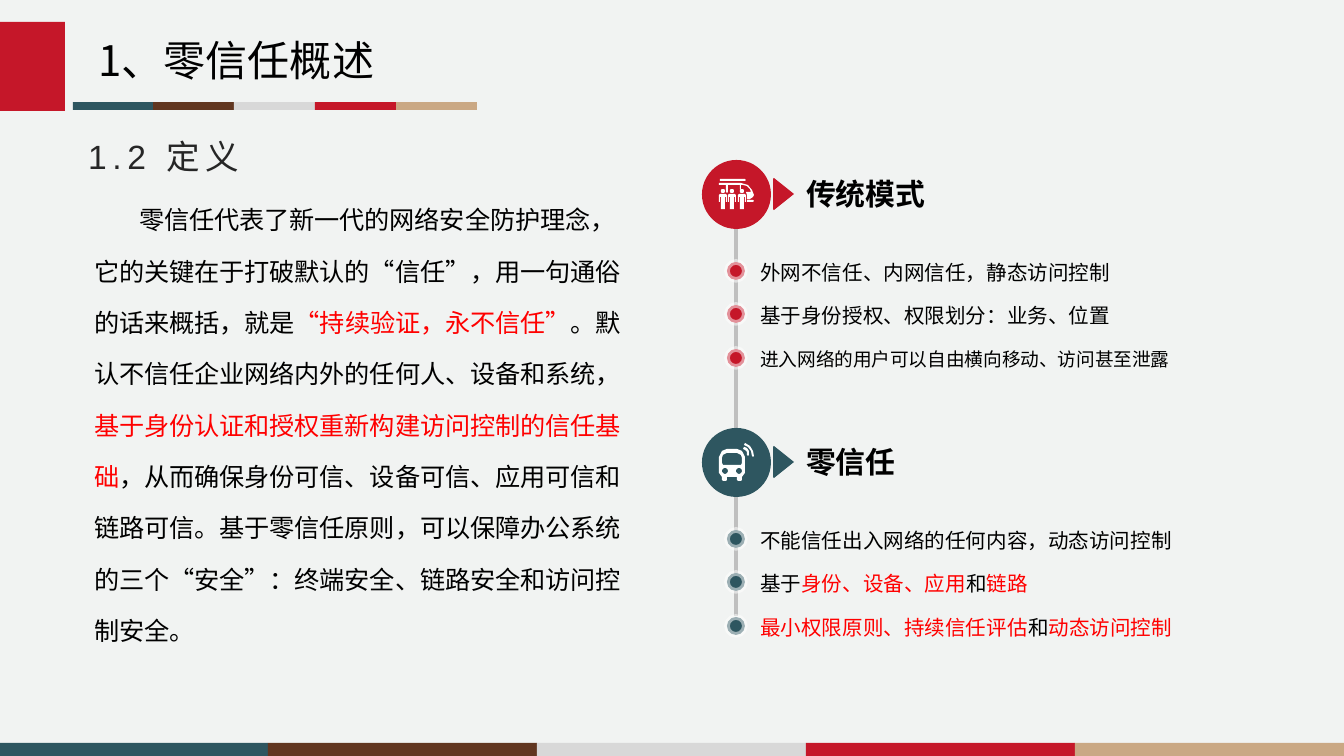
import math

from lxml import etree
from pptx import Presentation
from pptx.dml.color import RGBColor
from pptx.enum.shapes import MSO_CONNECTOR, MSO_SHAPE
from pptx.enum.text import MSO_ANCHOR
from pptx.oxml.ns import qn
from pptx.util import Pt

SCALE = 914400 / 134.4  # EMU in one px
WIDTH, HEIGHT = 1344, 756
RECTANGLE, OVAL = MSO_SHAPE.RECTANGLE, MSO_SHAPE.OVAL
STRAIGHT = MSO_CONNECTOR.STRAIGHT
TOP, MIDDLE = MSO_ANCHOR.TOP, MSO_ANCHOR.MIDDLE

COLORS = {
    "background": "F1F3F2", "teal": "2E5660", "brown": "613620",
    "silver": "D8D8D8", "red": "C51729", "tan": "CAA884",
    "black": "000000", "charcoal": "262626", "highlight": "FF0000",
    "rail": "BFBFBF", "white": "FFFFFF",
}
STRIPES = ["teal", "brown", "silver", "red", "tan"]
LATIN, CHINESE = "Arial", "Noto Sans CJK SC"

DEFINITION = [
    ("零信任代表了新一代的网络安全防护理念，它的关键在于打破默认的“信任”，"
     "用一句通俗的话来概括，就是", "black"),
    ("“持续验证，永不信任”", "highlight"),
    ("。默认不信任企业网络内外的任何人、设备和系统，", "black"),
    ("基于身份认证和授权重新构建访问控制的信任基础", "highlight"),
    ("，从而确保身份可信、设备可信、应用可信和链路可信。基于零信任原则，"
     "可以保障办公系统的三个“安全”：终端安全、链路安全和访问控制安全。", "black"),
]
TRADITIONAL_ROWS = [
    (11, [("外网不信任、内网信任，静态访问控制", "black")]),
    (11, [("基于身份授权、权限划分：业务、位置", "black")]),
    (10, [("进入网络的用户可以自由横向移动、访问甚至泄露", "black")]),
]
ZERO_TRUST_ROWS = [
    (11, [("不能信任出入网络的任何内容，动态访问控制", "black")]),
    (11, [("基于", "black"), ("身份、设备、应用", "highlight"),
          ("和", "black"), ("链路", "highlight")]),
    (11, [("最小权限原则、持续信任评估", "highlight"), ("和", "black"),
          ("动态访问控制", "highlight")]),
]


def px(value):
    return round(value * SCALE)


def rgb(name):
    return RGBColor.from_string(COLORS[name])


def ring(x, y, radius):
    """Points of a small circle, for use as a freeform contour."""
    angles = [math.tau * step / 12 for step in range(12)]
    return [(x + radius * math.cos(a), y + radius * math.sin(a)) for a in angles]


def person(left):
    body = [(0, 195), (1, 194), (7, 194), (8, 195), (8, 202), (7, 202), (7, 197),
            (6, 197), (6, 209), (2, 209), (2, 197), (1, 197), (1, 202), (0, 202)]
    return [[(left + x, y) for x, y in body], ring(left + 4, 191, 2)]


TRAIN_ICON = [
    [(720, 179), (745, 179), (746, 180), (745, 181), (720, 181)],
    [(719, 183), (741, 183), (748, 185), (752, 190), (754, 195), (753, 197),
     (750, 199), (747, 199), (747, 195), (746, 192), (751, 192), (750, 189),
     (747, 186), (743, 185), (741, 185), (741, 189), (740, 189), (740, 185),
     (728, 185), (728, 192), (727, 193), (726, 192), (726, 185), (719, 185)],
    [(747, 200), (753, 200), (754, 201), (753, 202), (747, 202)],
    *person(719), *person(728), *person(738),
]
BUS_ICON = [
    [(727, 449), (737, 449), (742, 451), (745, 457), (745, 473), (742, 477),
     (742, 480), (741, 481), (738, 481), (737, 480), (737, 477), (727, 477),
     (727, 480), (726, 481), (723, 481), (722, 480), (722, 477), (719, 473),
     (719, 457), (722, 451)],
    [(727, 453), (737, 453), (741, 455), (742, 458), (742, 463), (741, 465),
     (723, 465), (722, 463), (722, 458), (723, 455)],
    ring(725, 471, 3), ring(739, 471, 3),
    [(744, 447), (747, 448), (749, 451), (749, 455), (748, 456), (747, 455),
     (747, 452), (745, 450), (743, 449)],
    [(745, 443), (750, 446), (753, 451), (754, 456), (753, 457), (752, 456),
     (751, 451), (748, 447), (744, 445)],
]


class SlideBuilder:
    def __init__(self, deck):
        self.page = deck.slides.add_slide(deck.slide_layouts[6])
        self.page.background.fill.solid()
        self.page.background.fill.fore_color.rgb = rgb("background")
        self.shapes = self.page.shapes

    def paint(self, shape, color):
        shape.shadow.inherit = False
        shape.fill.solid()
        shape.fill.fore_color.rgb = rgb(color)
        shape.line.fill.background()
        return shape

    def shape(self, kind, left, top, width, height, color):
        shape = self.shapes.add_shape(kind, px(left), px(top), px(width), px(height))
        return self.paint(shape, color)

    def stripes(self, left, top, width, height):
        """A strip split evenly into the five theme colours."""
        edges = [left + width * i // 5 for i in range(6)]
        for start, end, color in zip(edges, edges[1:], STRIPES):
            self.shape(RECTANGLE, start, top, end - start, height, color)

    def outline(self, contours, color):
        """One filled freeform; a contour inside another one is a hole."""
        builder = self.shapes.build_freeform(*contours[0][0], scale=SCALE)
        builder.add_line_segments(contours[0][1:], close=True)
        for contour in contours[1:]:
            builder.move_to(*contour[0])
            builder.add_line_segments(contour[1:], close=True)
        return self.paint(builder.convert_to_shape(), color)

    def rail(self, x, top, bottom):
        line = self.shapes.add_connector(STRAIGHT, px(x), px(top), px(x), px(bottom))
        line.line.color.rgb = rgb("rail")
        line.line.width = Pt(1.75)
        etree.SubElement(line._element.spPr, qn("a:effectLst"))

    def dot(self, left, top, color):
        """A bullet with a translucent white rim."""
        dot = self.shape(OVAL, left, top, 18, 18, color)
        dot.line.color.rgb = rgb("white")
        dot.line.width = Pt(3)
        tint = dot.line._ln.find(".//" + qn("a:srgbClr"))
        etree.SubElement(tint, qn("a:alpha"), val="53000")

    def text(self, left, top, width, height, spans, size, anchor=MIDDLE,
             font=LATIN, bold=False):
        box = self.shapes.add_textbox(px(left), px(top), px(width), px(height))
        box.text_frame.word_wrap = True
        box.text_frame.vertical_anchor = anchor
        para = box.text_frame.paragraphs[0]
        for words, color in spans:
            span = para.add_run()
            span.text = words
            span.font.size = Pt(size)
            span.font.bold = bold
            span.font.name = font
            span.font.color.rgb = rgb(color)
            etree.SubElement(span.font._element, qn("a:ea"), typeface=CHINESE)
        return para

    def model(self, top, color, title, icon, rows):
        """A round icon with its heading and three dotted rows."""
        self.shape(OVAL, 702, top, 69, 69, color)
        self.outline(icon, "white")
        self.outline([[(773, top + 19), (774, top + 18), (794, top + 34),
                       (774, top + 50), (773, top + 49)]], color)
        self.text(793, top + 9, 238, 50, [(title, "black")], 16, bold=True)
        for i, (size, spans) in enumerate(rows):
            row_top = top + 102 + 87 * i // 2
            self.dot(727, row_top, color)
            self.text(747, row_top - 12, 457, 44, spans, size)


def main():
    deck = Presentation()
    deck.slide_width, deck.slide_height = px(WIDTH), px(HEIGHT)
    slide = SlideBuilder(deck)

    slide.stripes(0, 743, WIDTH, 13)
    slide.shape(RECTANGLE, 0, 22, 65, 89, "red")
    slide.stripes(73, 102, 404, 8)
    slide.text(85, 32, 684, 55, [("1、零信任概述", "black")], 22.5, font=CHINESE)

    subtitle = slide.text(75, 129, 600, 60, [("1.2 定义", "charcoal")], 18, TOP)
    subtitle.runs[0].font._element.set("spc", "300")
    definition = slide.text(81, 177, 566, 402, DEFINITION, 13.5, TOP)
    definition.line_spacing = 1.7
    definition._p.get_or_add_pPr().set("indent", str(px(45)))

    slide.rail(736, 229, 616)
    slide.model(160, "red", "传统模式", TRAIN_ICON, TRADITIONAL_ROWS)
    slide.model(428, "teal", "零信任", BUS_ICON, ZERO_TRUST_ROWS)
    deck.save("out.pptx")


if __name__ == "__main__":
    main()
